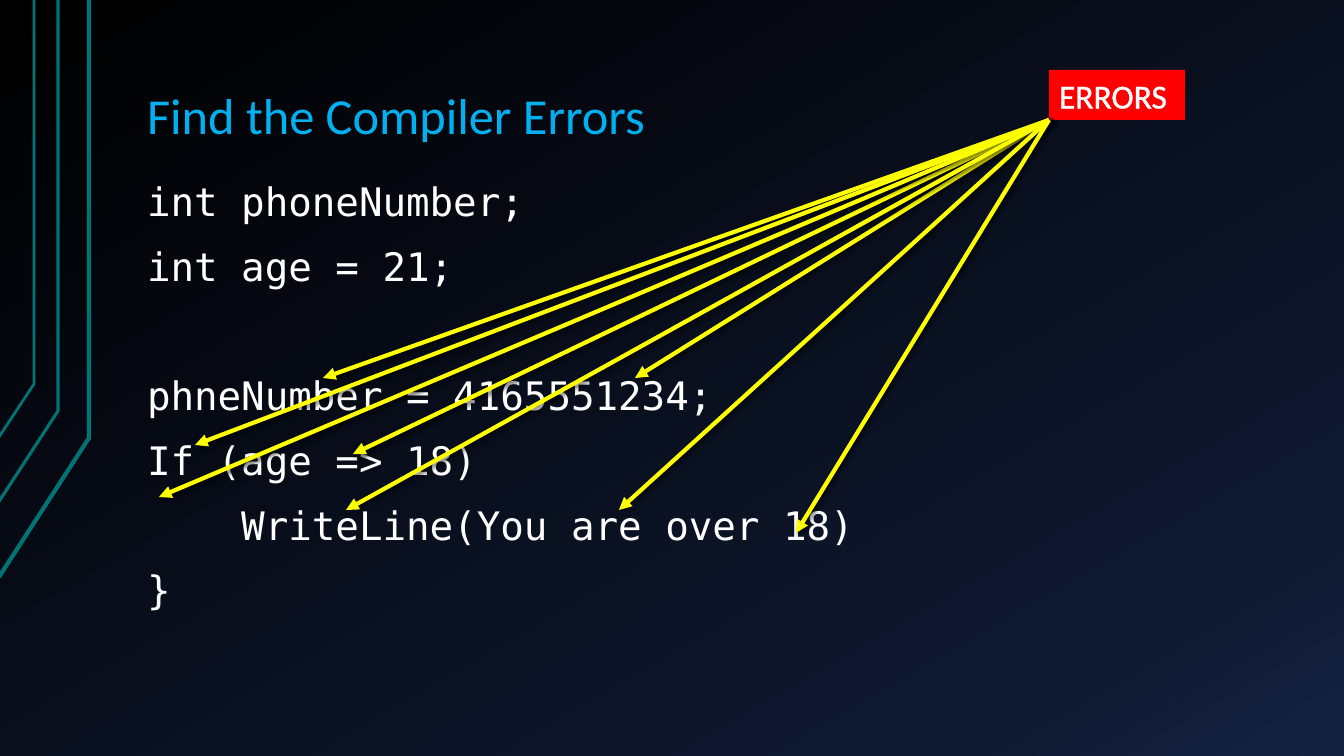
from copy import deepcopy

from lxml.etree import SubElement
from pptx import Presentation
from pptx.dml.color import RGBColor
from pptx.enum.shapes import MSO_CONNECTOR, MSO_SHAPE
from pptx.enum.text import MSO_ANCHOR, MSO_AUTO_SIZE, PP_ALIGN
from pptx.oxml import parse_xml
from pptx.oxml.ns import nsdecls, qn
from pptx.util import Pt

SCALE = 914400 / 100.8
CODE_LINES = [
    ("int phoneNumber;", 0),
    ("int age = 21;", 16),
    ("phneNumber = 4165551234;", 62),
    ("If (age => 18)", 16),
    ("    WriteLine(You are over 18)", 16),
    ("}", 16),
]
ERROR_POINTS = [
    (323, 378), (635, 378), (195, 445), (353, 454),
    (159, 497), (346, 510), (619, 510), (796, 533),
]
RAILS = [
    ([(-1, 577), (89, 438), (89, 0)], 3),
    ([(-2, 503), (58, 411), (58, 0)], 2.25),
    ([(-1, 437), (34, 384), (34, 0)], 2),
]


def px(value):
    return round(value * SCALE)


def color(value):
    return RGBColor.from_string(value)


def format_paragraph(paragraph, font_name, size, font_color):
    paragraph.alignment = PP_ALIGN.LEFT
    for run in paragraph.runs:
        run.font.name = font_name
        run.font.size = Pt(size)
        run.font.color.rgb = color(font_color)


def add_text_box(slide, box, anchor):
    text_box = slide.shapes.add_textbox(*map(px, box))
    frame = text_box.text_frame
    frame.word_wrap = True
    frame.vertical_anchor = anchor
    frame.margin_left = frame.margin_right = px(13)
    frame.margin_top = frame.margin_bottom = px(7)
    return frame


def paint_background(slide):
    fill = slide.background.fill
    fill.gradient()
    fill.gradient_angle = 300
    first_stop = fill.gradient_stops[0]._gs
    first_stop.addnext(deepcopy(first_stop))
    stops = [(0, "000000"), (0.85, "0F1931"), (1, "142242")]
    for stop, (position, stop_color) in zip(fill.gradient_stops, stops):
        stop.position = position
        stop.color.rgb = color(stop_color)


def add_rails(slide, left, top):
    for points, width in RAILS:
        (start_x, start_y), *others = [(left + x, top + y) for x, y in points]
        builder = slide.shapes.build_freeform(start_x, start_y, scale=SCALE)
        builder.add_line_segments(others, close=False)
        rail = builder.convert_to_shape()
        rail.shadow.inherit = False
        rail.fill.background()
        rail.line.color.rgb = color("007373")
        rail.line.width = Pt(width)


def add_title(slide, box):
    paragraph = add_text_box(slide, box, MSO_ANCHOR.BOTTOM).paragraphs[0]
    paragraph.text = "Find the Compiler Errors"
    paragraph.line_spacing = 0.9
    format_paragraph(paragraph, "Calibri", 36, "00B0F0")


def add_code(slide, box):
    frame = add_text_box(slide, box, MSO_ANCHOR.TOP)
    frame.text = "\n".join(text for text, gap in CODE_LINES)
    for paragraph, (text, gap) in zip(frame.paragraphs, CODE_LINES):
        paragraph.line_spacing = 0.9
        paragraph.space_before = Pt(gap)
        format_paragraph(paragraph, "DejaVu Sans Mono", 28, "FFFFFF")


def add_error_label(slide, box):
    label = slide.shapes.add_shape(MSO_SHAPE.RECTANGLE, *map(px, box))
    label.shadow.inherit = False
    label.fill.solid()
    label.fill.fore_color.rgb = color("FF0000")
    label.line.fill.background()
    frame = label.text_frame
    frame.word_wrap = True
    frame.auto_size = MSO_AUTO_SIZE.SHAPE_TO_FIT_TEXT
    frame.vertical_anchor = MSO_ANCHOR.TOP
    frame.text = "ERRORS"
    paragraph = frame.paragraphs[0]
    format_paragraph(paragraph, "Calibri", 24, "FFFFFF")
    paragraph.runs[0]._r.get_or_add_rPr().insert(0, parse_xml(
        f'<a:ln {nsdecls("a")} w="{Pt(1.45)}"><a:solidFill>'
        '<a:srgbClr val="FFFFFF"/></a:solidFill></a:ln>'))


def add_error_arrows(slide, box):
    left, top, width, height = box
    for end_x, end_y in ERROR_POINTS:
        arrow = slide.shapes.add_connector(
            MSO_CONNECTOR.STRAIGHT,
            *map(px, (left, top + height, end_x, end_y)))
        arrow.line.color.rgb = color("FFFF00")
        arrow.line.width = Pt(3)
        SubElement(arrow.line._get_or_add_ln(), qn("a:tailEnd"), type="triangle")
        arrow._element.spPr.append(parse_xml(
            f'<a:effectLst {nsdecls("a")}><a:outerShdw blurRad="{Pt(3)}" '
            f'dist="{Pt(2)}" dir="2700000"><a:srgbClr val="000000">'
            '<a:alpha val="60000"/></a:srgbClr></a:outerShdw></a:effectLst>'))


def build_slide(presentation):
    slide = presentation.slides.add_slide(presentation.slide_layouts[6])
    error_box = (1049, 70, 136, 50)
    paint_background(slide)
    add_rails(slide, 0, 0)
    add_title(slide, (134, 30, 1142, 122))
    add_code(slide, (134, 176, 1142, 503))
    add_error_label(slide, error_box)
    add_error_arrows(slide, error_box)


def main():
    presentation = Presentation()
    presentation.slide_width = px(1344)
    presentation.slide_height = px(756)
    build_slide(presentation)
    presentation.save("out.pptx")


if __name__ == "__main__":
    main()
